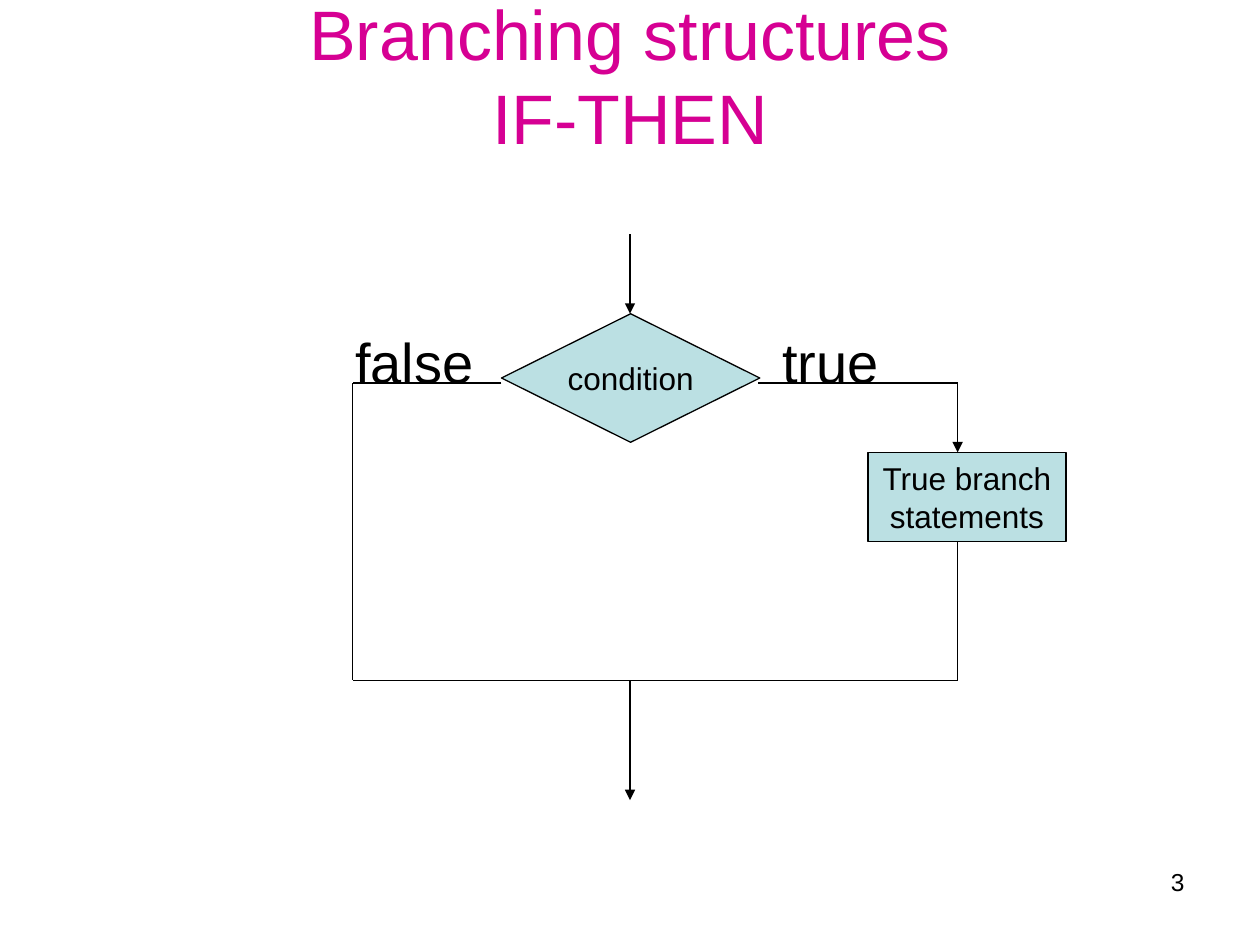
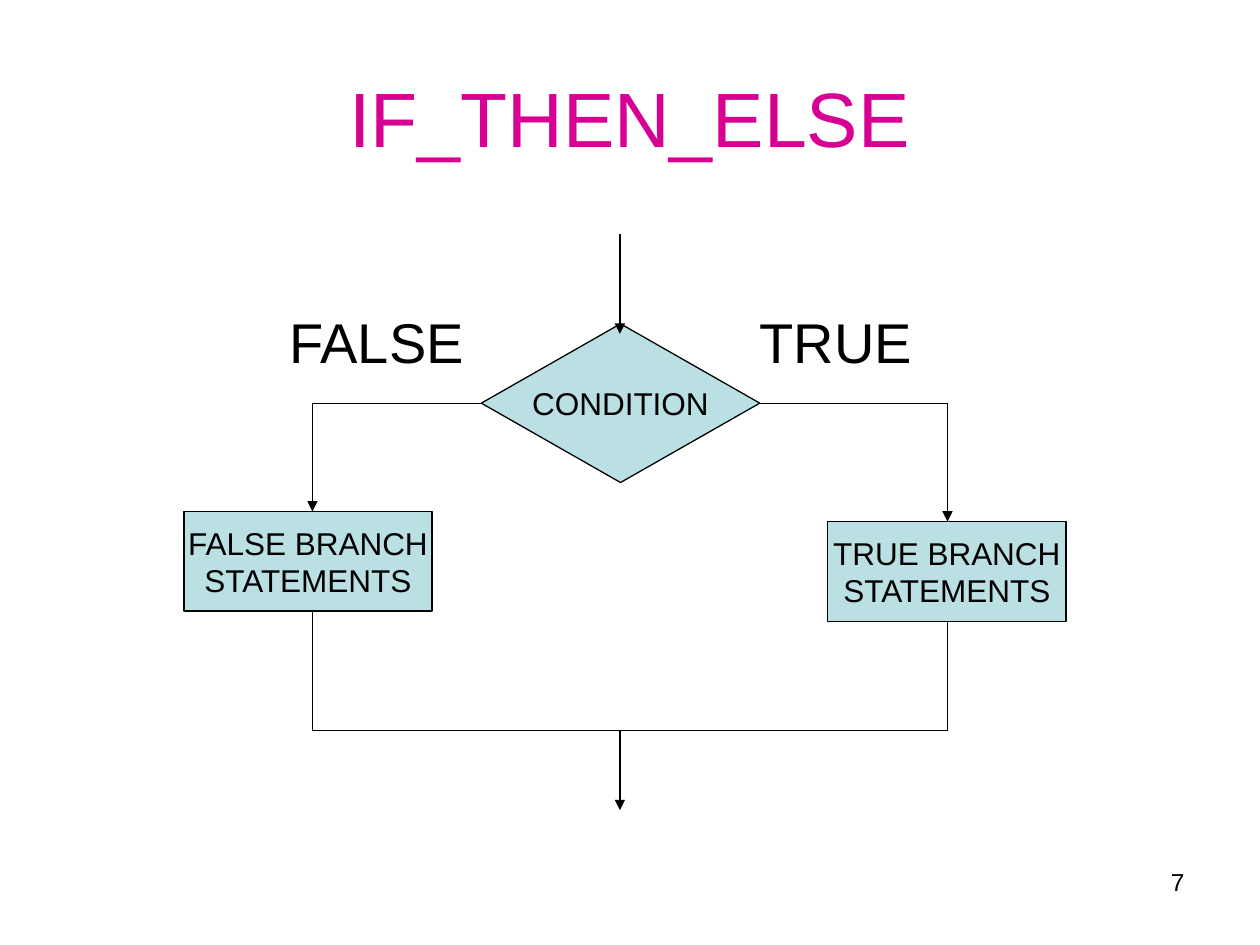
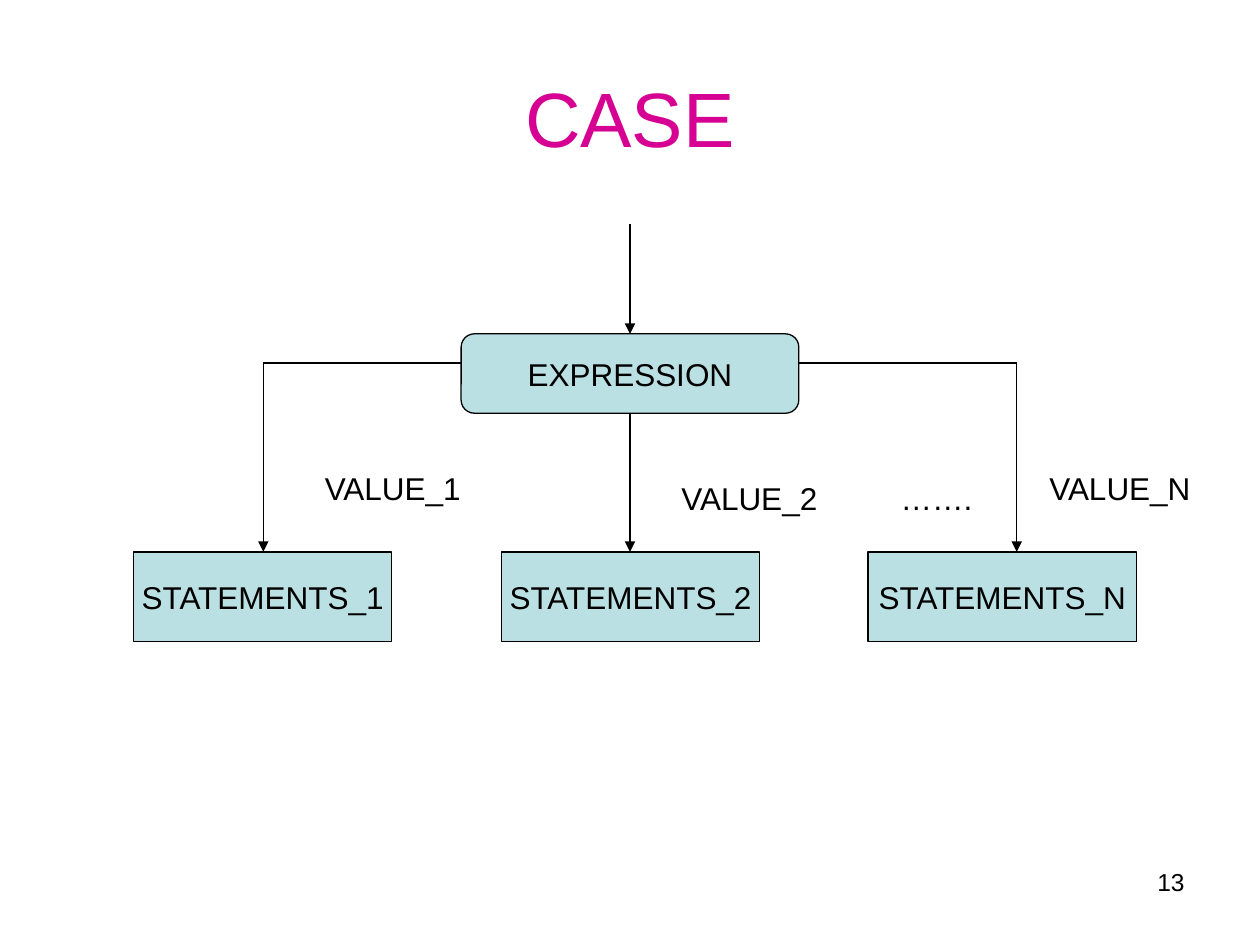
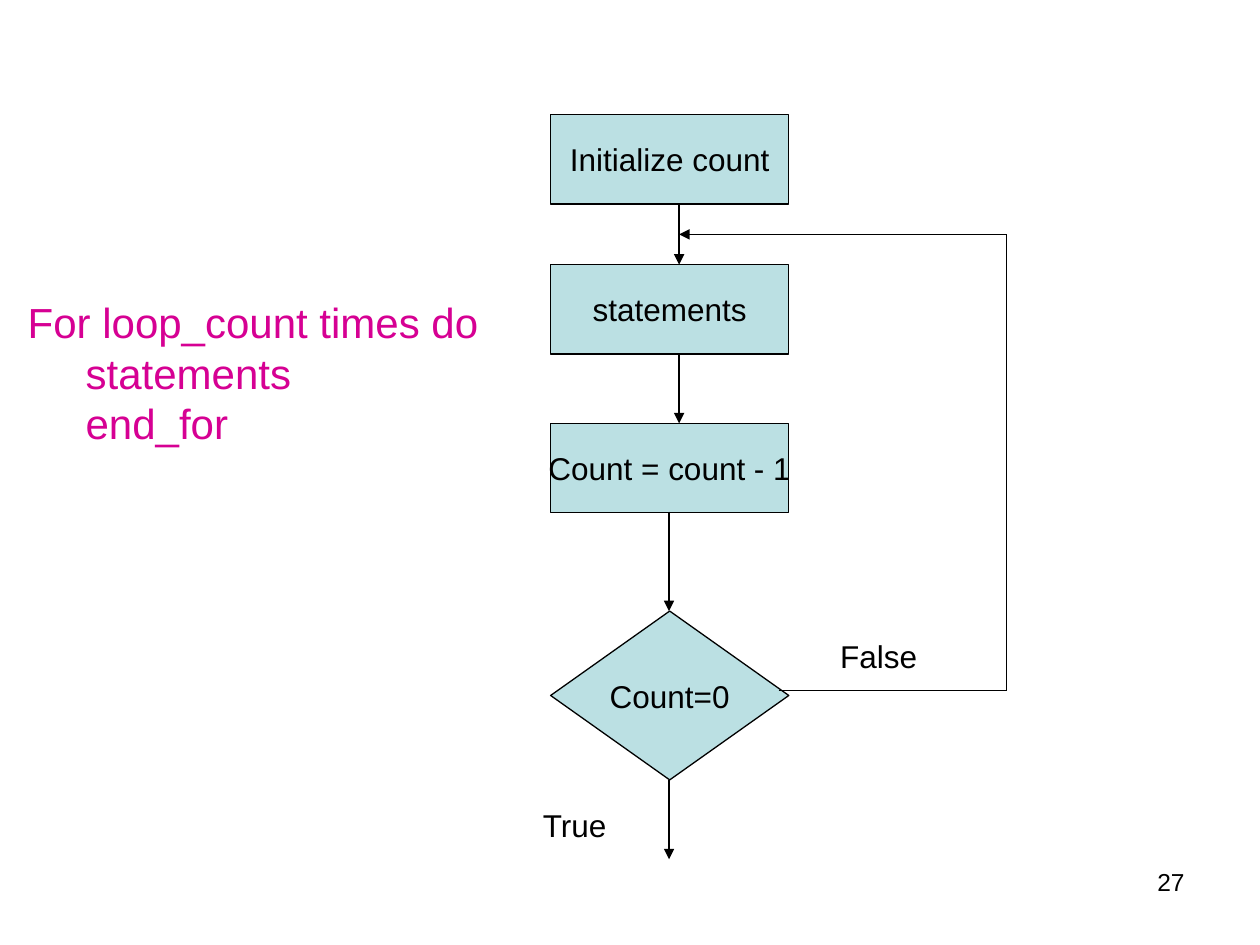
from itertools import pairwise

from lxml import etree
from pptx import Presentation
from pptx.dml.color import RGBColor
from pptx.enum.shapes import MSO_CONNECTOR, MSO_SHAPE
from pptx.enum.text import MSO_ANCHOR, MSO_AUTO_SIZE, PP_ALIGN
from pptx.oxml.ns import qn
from pptx.util import Inches, Pt

DECISION = MSO_SHAPE.FLOWCHART_DECISION
PROCESS = MSO_SHAPE.FLOWCHART_PROCESS
ROUNDED = MSO_SHAPE.FLOWCHART_ALTERNATE_PROCESS
RECTANGLE = MSO_SHAPE.RECTANGLE
STRAIGHT = MSO_CONNECTOR.STRAIGHT
MIDDLE = MSO_ANCHOR.MIDDLE
NO_AUTOFIT = MSO_AUTO_SIZE.NONE
LEFT, CENTER, RIGHT = PP_ALIGN.LEFT, PP_ALIGN.CENTER, PP_ALIGN.RIGHT

TITLE_ONLY = 5
FONT = "Arial"
MAGENTA, PALE_TEAL, BLACK = "D60093", "BBE0E3", "000000"
LINE_WIDTH = 0.75
TITLE_AREA = (0.5, 0.3, 9, 1.25)
NUMBER_AREA = (7.17, 6.83, 2.33, 0.52)


def color(code):
    return RGBColor.from_string(code)


def inches(*lengths):
    return [Inches(length) for length in lengths]


def write(frame, text, size, align, code=BLACK):
    """Put each line of the text in a paragraph of its own."""
    frame.text = text
    for paragraph in frame.paragraphs:
        paragraph.alignment = align
        paragraph.font.name = FONT
        paragraph.font.size = Pt(size)
        paragraph.font.color.rgb = color(code)


def add_label(page, text, area, size=18, align=LEFT):
    box = page.shapes.add_textbox(*inches(*area))
    box.text_frame.word_wrap = True
    write(box.text_frame, text, size, align)


def add_page(deck, title, number, size=44, area=TITLE_AREA, align=CENTER):
    """Add a slide with its title and page number."""
    page = deck.slides.add_slide(deck.slide_layouts[TITLE_ONLY])
    heading = page.shapes.title
    heading.left, heading.top, heading.width, heading.height = inches(*area)
    frame = heading.text_frame
    frame.auto_size = NO_AUTOFIT
    frame.vertical_anchor = MIDDLE
    write(frame, title, size, align, MAGENTA)
    add_label(page, number, NUMBER_AREA, 14, RIGHT)
    return page


def add_step(page, kind, text, area):
    step = page.shapes.add_shape(kind, *inches(*area))
    step.shadow.inherit = False
    step.fill.solid()
    step.fill.fore_color.rgb = color(PALE_TEAL)
    step.line.color.rgb = color(BLACK)
    step.line.width = Pt(LINE_WIDTH)
    frame = step.text_frame
    frame.word_wrap = False
    frame.vertical_anchor = MIDDLE
    write(frame, text, 18, CENTER)


def add_flow(page, *points, arrow=True):
    """Join the points with straight lines, with an arrowhead at the last."""
    for start, end in pairwise(points):
        connector = page.shapes.add_connector(STRAIGHT, *inches(*start, *end))
        line = connector.line
        line.color.rgb = color(BLACK)
        line.width = Pt(LINE_WIDTH)
        properties = connector._element.spPr
        if arrow and end == points[-1]:
            etree.SubElement(properties.find(qn("a:ln")), qn("a:tailEnd"), type="triangle")
        etree.SubElement(properties, qn("a:effectLst"))


def build_if_then(deck):
    page = add_page(deck, "Branching structures\vIF-THEN", "3", 40, (0.5, 0, 9, 1.19))
    center, false_x, true_x = 5, 2.8, 7.6
    branch_y, merge_y = 3.04, 5.4
    add_label(page, "false", (2.72, 2.55, 1.3, 0.63), 32)
    add_label(page, "true", (6.11, 2.55, 1.3, 0.63), 32)
    add_step(page, DECISION, "condition", (3.98, 2.49, 2.05, 1.02))
    add_step(page, PROCESS, "True branch\nstatements", (6.89, 3.59, 1.57, 0.71))
    add_flow(page, (center, 1.86), (center, 2.49))
    add_flow(page, (6.02, branch_y), (true_x, branch_y), (true_x, 3.59))
    add_flow(page, (3.98, branch_y), (false_x, branch_y), (false_x, merge_y), arrow=False)
    add_flow(page, (true_x, 4.3), (true_x, merge_y), (false_x, merge_y), arrow=False)
    add_flow(page, (center, merge_y), (center, 6.35))


def build_if_then_else(deck):
    page = add_page(deck, "IF_THEN_ELSE", "7")
    center, false_x, true_x = 4.92, 2.48, 7.52
    branch_y, merge_y = 3.2, 5.8
    add_label(page, "FALSE", (2.2, 2.39, 1.7, 0.63), 32)
    add_label(page, "TRUE", (5.93, 2.39, 1.6, 0.63), 32)
    add_step(page, DECISION, "CONDITION", (3.82, 2.57, 2.21, 1.26))
    add_step(page, PROCESS, "TRUE BRANCH\nSTATEMENTS", (6.57, 4.14, 1.89, 0.79))
    add_step(page, PROCESS, "FALSE BRANCH\nSTATEMENTS", (1.46, 4.06, 1.97, 0.79))
    add_flow(page, (center, 1.86), (center, 2.65))
    add_flow(page, (3.82, branch_y), (false_x, branch_y), (false_x, 4.06))
    add_flow(page, (6.02, branch_y), (true_x, branch_y), (true_x, 4.14))
    add_flow(page, (false_x, 4.85), (false_x, merge_y), arrow=False)
    add_flow(page, (true_x, 4.93), (true_x, merge_y), (false_x, merge_y), arrow=False)
    add_flow(page, (center, merge_y), (center, 6.43))


def build_case(deck):
    page = add_page(deck, "CASE", "13")
    center, first_x, last_x = 5, 2.09, 8.07
    branch_y, statements_y = 2.88, 4.38
    add_step(page, ROUNDED, "EXPRESSION", (3.66, 2.65, 2.68, 0.63))
    add_flow(page, (center, 1.78), (center, 2.65))
    add_flow(page, (3.66, branch_y), (first_x, branch_y), (first_x, statements_y))
    add_flow(page, (6.34, branch_y), (last_x, branch_y), (last_x, statements_y))
    add_flow(page, (center, 3.28), (center, statements_y))
    for suffix, left, width in (("1", 1.06, 2.05), ("2", 3.98, 2.05), ("N", 6.89, 2.13)):
        add_step(page, RECTANGLE, f"STATEMENTS_{suffix}", (left, statements_y, width, 0.71))
    for text, left, top, width in (
        ("VALUE_1", 2.48, 3.67, 1.34),
        ("VALUE_2", 5.31, 3.75, 1.34),
        ("VALUE_N", 8.23, 3.67, 1.42),
        ("…….", 7.05, 3.75, 0.79),
    ):
        add_label(page, text, (left, top, width, 0.4))


def build_for_loop(deck):
    code = "For loop_count times do\nstatements\nend_for"
    page = add_page(deck, code, "27", 24, (0.12, 2.33, 3.87, 1.25), LEFT)
    loop_body = page.shapes.title.text_frame.paragraphs[1]
    loop_body._p.get_or_add_pPr().set("marL", str(Inches(0.46)))

    steps = (("Initialize count", 0.91), ("statements", 2.1), ("Count = count - 1", 3.36))
    for text, top in steps:
        add_step(page, PROCESS, text, (4.37, top, 1.89, 0.71))
    add_step(page, DECISION, "Count=0", (4.37, 4.85, 1.89, 1.34))

    for x, start, end in (
        (5.39, 1.62, 2.1),
        (5.39, 2.81, 3.36),
        (5.31, 4.06, 4.85),
        (5.31, 6.19, 6.82),
    ):
        add_flow(page, (x, start), (x, end))
    add_flow(page, (6.18, 5.48), (7.99, 5.48), (7.99, 1.86), (5.39, 1.86))
    add_label(page, "False", (6.57, 5.01, 1.26, 0.4))
    add_label(page, "True", (4.21, 6.35, 1.02, 0.4))


def main():
    deck = Presentation()
    deck.slide_width, deck.slide_height = inches(10, 7.5)
    build_if_then(deck)
    build_if_then_else(deck)
    build_case(deck)
    build_for_loop(deck)
    deck.save("out.pptx")


if __name__ == "__main__":
    main()
